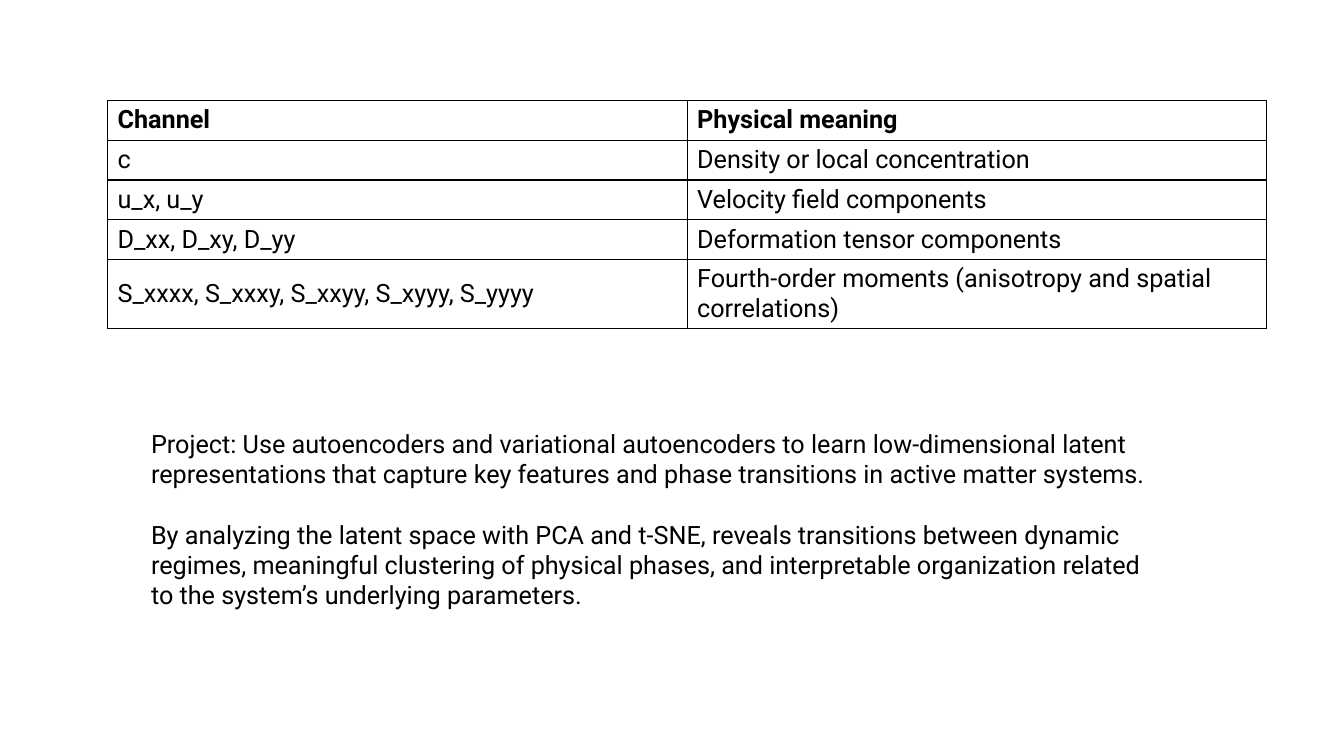
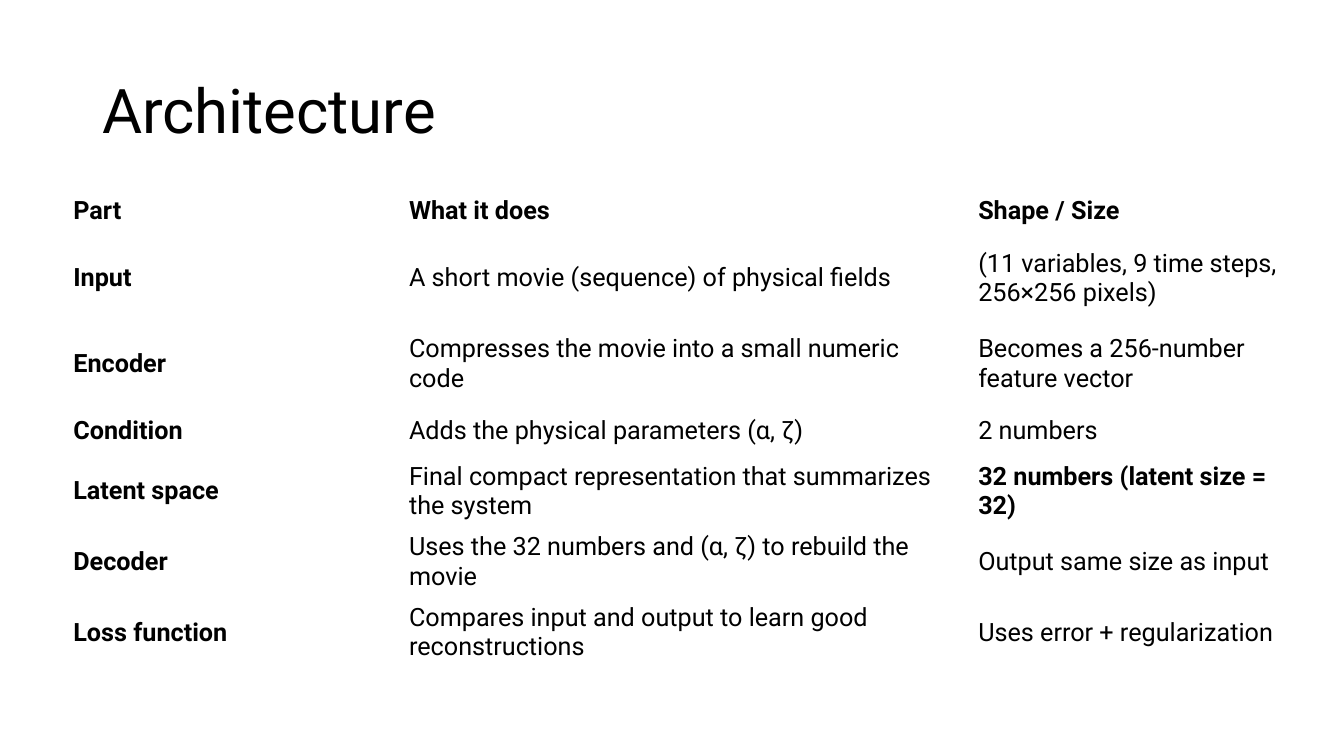
from lxml import etree
from pptx import Presentation
from pptx.dml.color import RGBColor
from pptx.enum.text import MSO_ANCHOR, MSO_AUTO_SIZE
from pptx.oxml.ns import qn
from pptx.util import Pt

MIDDLE, TOP = MSO_ANCHOR.MIDDLE, MSO_ANCHOR.TOP
GROW = MSO_AUTO_SIZE.SHAPE_TO_FIT_TEXT
BLACK = RGBColor(0, 0, 0)
FONT = "Roboto"
BODY, TITLE = 18, 44
PARAGRAPH_GAP = 21.5

CHANNELS = [
    ("Channel", "Physical meaning"),
    ("c", "Density or local concentration"),
    ("u_x, u_y", "Velocity field components"),
    ("D_xx, D_xy, D_yy", "Deformation tensor components"),
    ("S_xxxx, S_xxxy, S_xxyy, S_xyyy, S_yyyy",
     "Fourth-order moments (anisotropy and spatial correlations)"),
]
PROJECT = [
    "Project: Use autoencoders and variational autoencoders to learn "
    "low-dimensional latent representations that capture key features and "
    "phase transitions in active matter systems.",
    "By analyzing the latent space with PCA and t-SNE, reveals transitions "
    "between dynamic regimes, meaningful clustering of physical phases, and "
    "interpretable organization related to the system’s underlying parameters.",
]
LATENT_SIZE = "32 numbers (latent size = 32)"
PARTS = [
    ("Part", "What it does", "Shape / Size"),
    ("Input", "A short movie (sequence) of physical fields",
     "(11 variables, 9 time steps, 256×256 pixels)"),
    ("Encoder", "Compresses the movie into a small numeric code",
     "Becomes a 256-number feature vector"),
    ("Condition", "Adds the physical parameters (α, ζ)", "2 numbers"),
    ("Latent space", "Final compact representation that summarizes the system",
     LATENT_SIZE),
    ("Decoder", "Uses the 32 numbers and (α, ζ) to rebuild the movie",
     "Output same size as input"),
    ("Loss function", "Compares input and output to learn good reconstructions",
     "Uses error + regularization"),
]
PART_NAMES = {row[0] for row in PARTS}


def add_run(p, text, size=BODY, bold=False):
    r = p.add_run()
    r.text = text
    r.font.size = Pt(size)
    r.font.name = FONT
    r.font.bold = bold
    r.font.color.rgb = BLACK


def add_text(s, box, paragraphs, size=BODY, anchor=TOP, spacing=None):
    tf = s.shapes.add_textbox(*map(Pt, box)).text_frame
    tf.word_wrap = True
    tf.vertical_anchor = anchor
    for i, text in enumerate(paragraphs):
        p = tf.add_paragraph() if i else tf.paragraphs[0]
        p.line_spacing = spacing
        if i:
            p.space_before = Pt(PARAGRAPH_GAP)
        add_run(p, text, size)
    return tf


def add_borders(cell):
    tc_pr = cell._tc.get_or_add_tcPr()
    for side in ("a:lnL", "a:lnR", "a:lnT", "a:lnB"):
        ln = etree.SubElement(tc_pr, qn(side), w=str(Pt(1)))
        fill = etree.SubElement(ln, qn("a:solidFill"))
        etree.SubElement(fill, qn("a:srgbClr"), val=str(BLACK))


def add_table(s, left, top, widths, heights, rows, bold=(), bordered=False):
    table = s.shapes.add_table(len(rows), len(widths), Pt(left), Pt(top),
                               Pt(sum(widths)), Pt(sum(heights))).table
    table.first_row = table.horz_banding = False
    for column, width in zip(table.columns, widths):
        column.width = Pt(width)
    for i, (texts, height) in enumerate(zip(rows, heights)):
        table.rows[i].height = Pt(height)
        for j, text in enumerate(texts):
            cell = table.cell(i, j)
            cell.vertical_anchor = MIDDLE
            if bordered:
                add_borders(cell)
            cell.fill.background()
            add_run(cell.text_frame.paragraphs[0], text,
                    bold=i == 0 or text in bold)


def main():
    prs = Presentation()
    prs.slide_width, prs.slide_height = Pt(960), Pt(540)
    blank = prs.slide_layouts[6]

    s = prs.slides.add_slide(blank)
    add_table(s, 76.8, 71.8, [414] * 2, [28.4] * 4 + [49.4], CHANNELS, bordered=True)
    tf = add_text(s, (100.8, 302.4, 741, 138), PROJECT)
    tf.auto_size = GROW

    s = prs.slides.add_slide(blank)
    add_text(s, (66, 28.8, 828, 104.4), ["Architecture"], TITLE, MIDDLE, 0.9)
    add_table(s, 45.2, 133, [239.8, 406.6, 239.8],
              [35.2, 61.2, 61.2, 35.2] + [49.2] * 3, PARTS,
              bold=PART_NAMES | {LATENT_SIZE})

    prs.save("out.pptx")


if __name__ == "__main__":
    main()
